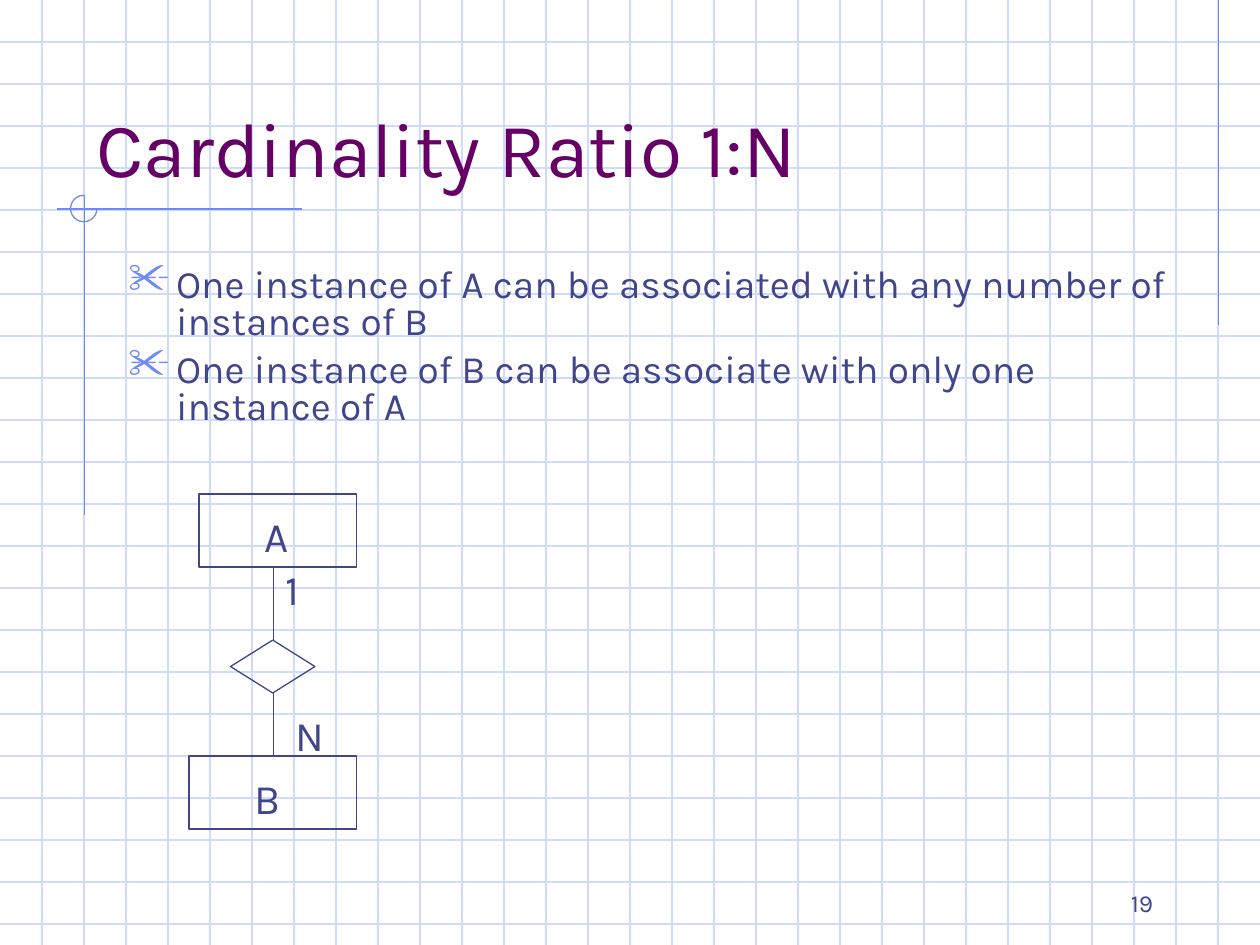
from dataclasses import dataclass

from lxml import etree
from pptx import Presentation
from pptx.dml.color import RGBColor
from pptx.enum.shapes import MSO_CONNECTOR, MSO_SHAPE
from pptx.enum.text import MSO_ANCHOR, MSO_AUTO_SIZE, PP_ALIGN
from pptx.oxml.ns import qn
from pptx.util import Inches, Pt

STRAIGHT = MSO_CONNECTOR.STRAIGHT
RECTANGLE, DIAMOND, ARC = MSO_SHAPE.RECTANGLE, MSO_SHAPE.DIAMOND, MSO_SHAPE.ARC
TOP, BOTTOM = MSO_ANCHOR.TOP, MSO_ANCHOR.BOTTOM
LEFT, RIGHT = PP_ALIGN.LEFT, PP_ALIGN.RIGHT
GROW = MSO_AUTO_SIZE.SHAPE_TO_FIT_TEXT

WIDTH, HEIGHT = 10, 7.5


@dataclass(frozen=True)
class Theme:
    font: str = "Karla"
    paper: str = "FFFFFF"
    grid: str = "CFDBFD"
    accent: str = "6F89F7"
    ink: str = "40458C"
    title: str = "660066"
    title_size: float = 44
    body_size: float = 22.2
    label_size: float = 24
    number_size: float = 14
    line_width: float = 0.75


THEME = Theme()


@dataclass(frozen=True)
class Line:
    x1: float
    y1: float
    x2: float
    y2: float
    color: str


@dataclass(frozen=True)
class Outline:
    kind: MSO_SHAPE
    left: float
    top: float
    width: float
    height: float
    color: str = THEME.ink


@dataclass(frozen=True)
class Text:
    lines: tuple[str, ...]
    left: float
    top: float
    width: float
    height: float
    size: float
    color: str = THEME.ink
    anchor: MSO_ANCHOR = TOP
    align: PP_ALIGN = LEFT
    space_before: float = 0


def label(text: str, left: float, top: float, width: float) -> Text:
    return Text((text,), left, top, width, 0.5, THEME.label_size, space_before=15)


GRID_STEP = 1 / 3
GRID = [Line(0, row * GRID_STEP, WIDTH, row * GRID_STEP, THEME.grid) for row in range(1, 23)]
GRID += [Line(col * GRID_STEP, 0, col * GRID_STEP, HEIGHT, THEME.grid) for col in range(1, 30)]

ACCENTS = [
    Line(9.67, 0, 9.67, 2.58, THEME.accent),
    Line(2.4, 1.66, 0.45, 1.66, THEME.accent),
    Line(0.67, 1.55, 0.67, 4.09, THEME.accent),
]
ACCENT_ARC = Outline(ARC, 0.56, 1.55, 0.21, 0.21, THEME.accent)

PAGE_NUMBER = Text(("19",), 7.17, 6.83, 2.08, 0.5, THEME.number_size, anchor=BOTTOM, align=RIGHT)
TITLE = Text(("Cardinality Ratio 1:N",), 0.67, 0.33, 8.5, 1.25,
             THEME.title_size, THEME.title, BOTTOM)
BODY = Text(
    ("One instance of A can be associated with any number of instances of B",
     "One instance of B can be associate with only one instance of A"),
    0.92, 2.08, 8.5, 1.42, THEME.body_size, space_before=6)

DIAGRAM_SHAPES = [
    Outline(RECTANGLE, 1.58, 3.92, 1.25, 0.58),
    Outline(RECTANGLE, 1.5, 6, 1.33, 0.58),
    Outline(DIAMOND, 1.83, 5.08, 0.67, 0.42),
]
DIAGRAM_LINKS = [
    Line(2.17, 5.08, 2.17, 4.5, THEME.ink),
    Line(2.17, 5.5, 2.17, 6, THEME.ink),
]
DIAGRAM_LABELS = [
    label("A", 2, 4, 0.5),
    label("B", 1.92, 6.08, 0.42),
    label("1", 2.17, 4.42, 0.33),
    label("N", 2.25, 5.58, 0.5),
]


def style_line(shape, color: str) -> None:
    shape.line.color.rgb = RGBColor.from_string(color)
    shape.line.width = Pt(THEME.line_width)


def draw_line(page, line: Line) -> None:
    connector = page.shapes.add_connector(
        STRAIGHT, Inches(line.x1), Inches(line.y1), Inches(line.x2), Inches(line.y2))
    style_line(connector, line.color)
    properties = connector._element.find(qn("p:spPr"))
    etree.SubElement(properties, qn("a:effectLst"))


def draw_outline(page, outline: Outline):
    shape = page.shapes.add_shape(
        outline.kind, Inches(outline.left), Inches(outline.top),
        Inches(outline.width), Inches(outline.height))
    shape.shadow.inherit = False
    shape.fill.background()
    style_line(shape, outline.color)
    return shape


def draw_text(page, text: Text):
    box = page.shapes.add_textbox(
        Inches(text.left), Inches(text.top), Inches(text.width), Inches(text.height))
    frame = box.text_frame
    frame.word_wrap = True
    frame.vertical_anchor = text.anchor
    frame.text = "\n".join(text.lines)
    for para in frame.paragraphs:
        para.alignment = text.align
        para.space_before = Pt(text.space_before)
        para.font.name = THEME.font
        para.font.size = Pt(text.size)
        para.font.color.rgb = RGBColor.from_string(text.color)
    return frame


def add_bullet(para) -> None:
    para.line_spacing = 0.8
    properties = para._p.get_or_add_pPr()
    properties.set("marL", str(Inches(0.38)))
    properties.set("indent", str(Inches(-0.38)))
    color = etree.Element(qn("a:buClr"))
    etree.SubElement(color, qn("a:srgbClr"), val=THEME.accent)
    size = etree.Element(qn("a:buSzPct"), val="110000")
    mark = etree.Element(qn("a:buChar"), char="✂")
    # Bullet settings must stand before the default run properties
    run_defaults = properties.find(qn("a:defRPr"))
    for element in (color, size, mark):
        run_defaults.addprevious(element)


def main() -> None:
    deck = Presentation()
    deck.slide_width, deck.slide_height = Inches(WIDTH), Inches(HEIGHT)
    page = deck.slides.add_slide(deck.slide_layouts[6])
    page.background.fill.solid()
    page.background.fill.fore_color.rgb = RGBColor.from_string(THEME.paper)

    # Graph paper and margin ornaments
    for line in GRID + ACCENTS:
        draw_line(page, line)
    arc = draw_outline(page, ACCENT_ARC)
    arc.adjustments[0], arc.adjustments[1] = 0, 162  # right round to top, clockwise

    # Title, bullets and page number
    draw_text(page, PAGE_NUMBER)
    draw_text(page, TITLE)
    for para in draw_text(page, BODY).paragraphs:
        add_bullet(para)

    # Entity diagram
    for outline in DIAGRAM_SHAPES:
        draw_outline(page, outline)
    for link in DIAGRAM_LINKS:
        draw_line(page, link)
    for text in DIAGRAM_LABELS:
        draw_text(page, text).auto_size = GROW

    deck.save("out.pptx")


if __name__ == "__main__":
    main()
